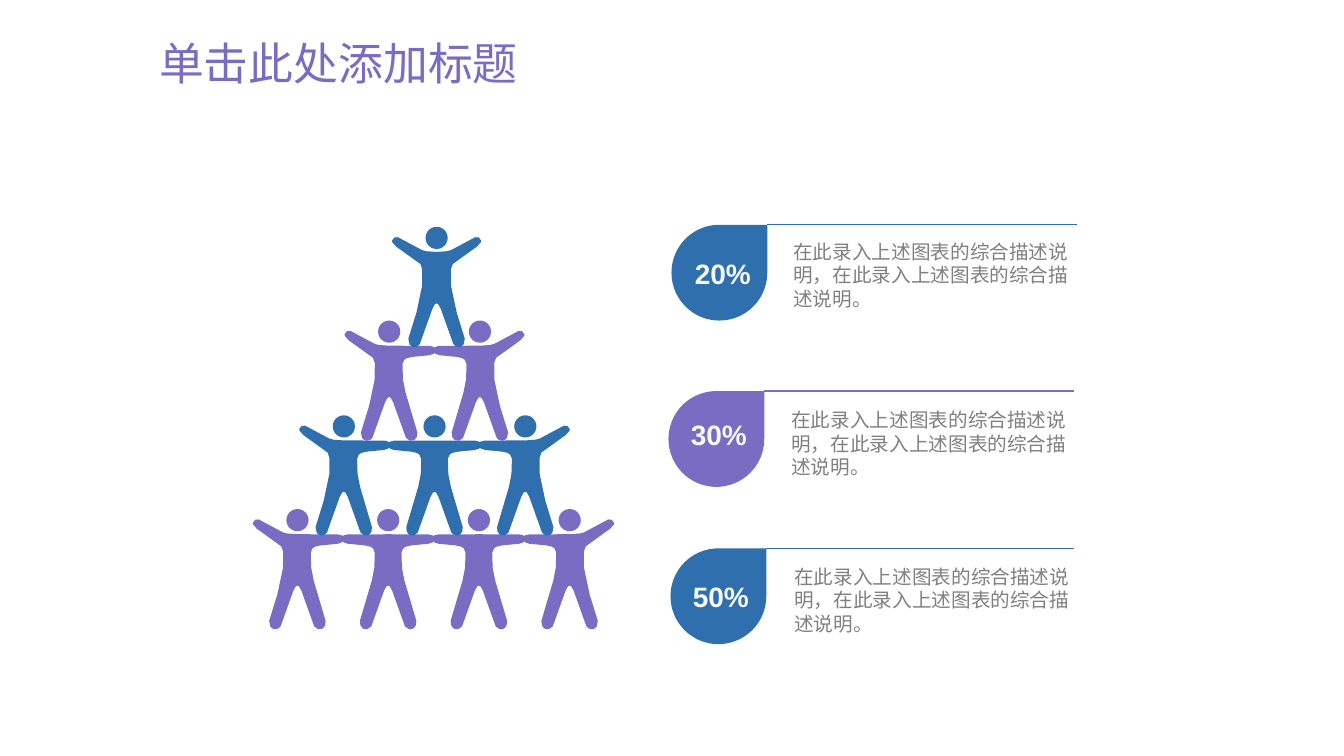
from math import dist

from lxml import etree
from pptx import Presentation
from pptx.dml.color import RGBColor
from pptx.enum.shapes import MSO_CONNECTOR, MSO_SHAPE
from pptx.enum.text import MSO_ANCHOR, MSO_AUTO_SIZE, PP_ALIGN
from pptx.oxml.ns import qn
from pptx.util import Inches, Pt

BLUE, PURPLE, GREY, WHITE = "2F6FAD", "796CC2", "808080", "F8F8F8"
TITLE = "单击此处添加标题"
DESCRIPTION = "在此录入上述图表的综合描述说明，在此录入上述图表的综合描述说明。"

# share, colour, drop (left, top), line end, share box (left, top), description (left, top)
CALLOUTS = [
    ("20%", BLUE, (6.66, 2.23), 10.68, (6.7, 2.5), (7.77, 2.33)),
    ("30%", PURPLE, (6.63, 3.88), 10.65, (6.66, 4.09), (7.75, 4.0)),
    ("50%", BLUE, (6.65, 5.44), 10.65, (6.68, 5.7), (7.78, 5.55)),
]
DROP_SIZE = 0.95

# people in the row, centre of the row, top of the heads, colour
ROWS = [
    (4, 4.3, 5.05, PURPLE),
    (3, 4.31, 4.12, BLUE),
    (2, 4.31, 3.18, PURPLE),
    (1, 4.33, 2.25, BLUE),
]
PERSON_PITCH, HEAD_SIZE = 0.9, 0.22

# Right half of a person as Bezier curves (two controls and an end),
# measured from the body axis and the top of the head.
NECK = (0, 0.25)
RAISED_ARM = [
    ((0.07, 0.25), (0.12, 0.24), (0.12, 0.24)),
    ((0.16, 0.23), (0.27, 0.16), (0.32, 0.14)),
    ((0.36, 0.11), (0.41, 0.08), (0.43, 0.12)),
    ((0.46, 0.15), (0.43, 0.18), (0.38, 0.21)),
    ((0.32, 0.25), (0.33, 0.25), (0.3, 0.27)),
    ((0.26, 0.29), (0.18, 0.35), (0.16, 0.37)),
    ((0.14, 0.4), (0.14, 0.44), (0.14, 0.48)),
]
LEVEL_ARM = [
    ((0.07, 0.25), (0.3, 0.25), (0.35, 0.25)),
    ((0.4, 0.25), (0.46, 0.25), (0.46, 0.29)),
    ((0.47, 0.33), (0.43, 0.34), (0.37, 0.35)),
    ((0.3, 0.36), (0.29, 0.36), (0.25, 0.36)),
    ((0.21, 0.36), (0.17, 0.37), (0.15, 0.39)),
    ((0.13, 0.42), (0.13, 0.44), (0.13, 0.48)),
]
LEG = [
    ((0.12, 0.65), (0.27, 1.08), (0.28, 1.11)),
    ((0.28, 1.14), (0.28, 1.17), (0.24, 1.19)),
    ((0.2, 1.2), (0.17, 1.18), (0.16, 1.15)),
    ((0.15, 1.1), (0.06, 0.88), (0.04, 0.81)),
    ((0.03, 0.79), (0.02, 0.77), (0.01, 0.76)),
    ((0.01, 0.76), (0, 0.76), (0, 0.76)),
]
CURVE_STEPS, TOLERANCE = 6, 0.005


def color(value):
    return RGBColor.from_string(value)


def paint(shape, fill):
    shape.shadow.inherit = False
    shape.fill.solid()
    shape.fill.fore_color.rgb = color(fill)
    shape.line.fill.background()


def simplify(points):
    """Drop the points that lie within TOLERANCE of the line through their neighbours."""
    (x0, y0), (x1, y1) = first, last = points[0], points[-1]
    length = dist(first, last)
    gaps = [abs((x1 - x0) * (y - y0) - (y1 - y0) * (x - x0)) / length for x, y in points]
    widest = max(gaps)
    if widest < TOLERANCE:
        return [first, last]
    split = gaps.index(widest)
    return simplify(points[:split + 1])[:-1] + simplify(points[split:])


def half_outline(arm):
    """Points down the right half of a body, from neck to crotch."""
    points = [NECK]
    for first, second, end in arm + LEG:
        start = points[-1]
        for step in range(1, CURVE_STEPS + 1):
            t = step / CURVE_STEPS
            u = 1 - t
            points.append(tuple(
                u**3 * a + 3 * u * u * t * b + 3 * u * t * t * c + t**3 * d
                for a, b, c, d in zip(start, first, second, end)
            ))
    return simplify(points)


def add_person(slide, axis, top, left_arm, right_arm, fill):
    left = [(-x, y) for x, y in reversed(half_outline(left_arm))]
    outline = half_outline(right_arm) + left[1:-1]
    points = [(Inches(axis + x), Inches(top + y)) for x, y in outline]
    builder = slide.shapes.build_freeform(*points[0])
    builder.add_line_segments(points[1:], close=True)
    paint(builder.convert_to_shape(), fill)
    head = slide.shapes.add_shape(
        MSO_SHAPE.OVAL, Inches(axis - HEAD_SIZE / 2), Inches(top),
        Inches(HEAD_SIZE), Inches(HEAD_SIZE))
    paint(head, fill)


def add_text(slide, text, place, size, points, font, fill, bold=False):
    box = slide.shapes.add_textbox(*map(Inches, place + size))
    frame = box.text_frame
    frame.word_wrap = True
    frame.text = text
    span = frame.paragraphs[0].runs[0]
    span.font.size = Pt(points)
    span.font.name = font
    span.font.bold = bold
    span.font.color.rgb = color(fill)
    east_asian = etree.SubElement(span.font._element, qn("a:ea"))
    east_asian.set("typeface", font)
    return frame


def add_callout(slide, share, fill, drop_place, line_end, share_place, text_place):
    left, top = drop_place
    line = slide.shapes.add_connector(
        MSO_CONNECTOR.STRAIGHT, Inches(left + DROP_SIZE), Inches(top),
        Inches(line_end), Inches(top))
    line.line.color.rgb = color(fill)
    line.line.width = Pt(1)
    etree.SubElement(line._element.spPr, qn("a:effectLst"))

    drop = slide.shapes.add_shape(
        MSO_SHAPE.TEAR, Inches(left), Inches(top), Inches(DROP_SIZE), Inches(DROP_SIZE))
    paint(drop, fill)

    label = add_text(slide, share, share_place, (0.94, 0.44), 20, "Arial", WHITE, True)
    label.paragraphs[0].alignment = PP_ALIGN.CENTER
    body = add_text(slide, DESCRIPTION, text_place, (3, 0.81), 14, "Noto Sans CJK SC", GREY)
    for frame in (label, body):
        frame.auto_size = MSO_AUTO_SIZE.SHAPE_TO_FIT_TEXT


def main():
    deck = Presentation()
    deck.slide_width, deck.slide_height = Inches(13.33), Inches(7.5)
    page = deck.slides.add_slide(deck.slide_layouts[6])

    title = add_text(page, TITLE, (1.48, 0.36), (11.5, 0.59), 32, "Montserrat", PURPLE)
    title.vertical_anchor = MSO_ANCHOR.MIDDLE
    title.paragraphs[0].line_spacing = 0.9

    for people, center, top, fill in ROWS:
        for person in range(people):
            axis = center + (person - (people - 1) / 2) * PERSON_PITCH
            left_arm = RAISED_ARM if person == 0 else LEVEL_ARM
            right_arm = RAISED_ARM if person == people - 1 else LEVEL_ARM
            add_person(page, axis, top, left_arm, right_arm, fill)

    for callout in CALLOUTS:
        add_callout(page, *callout)

    deck.save("out.pptx")


if __name__ == "__main__":
    main()
